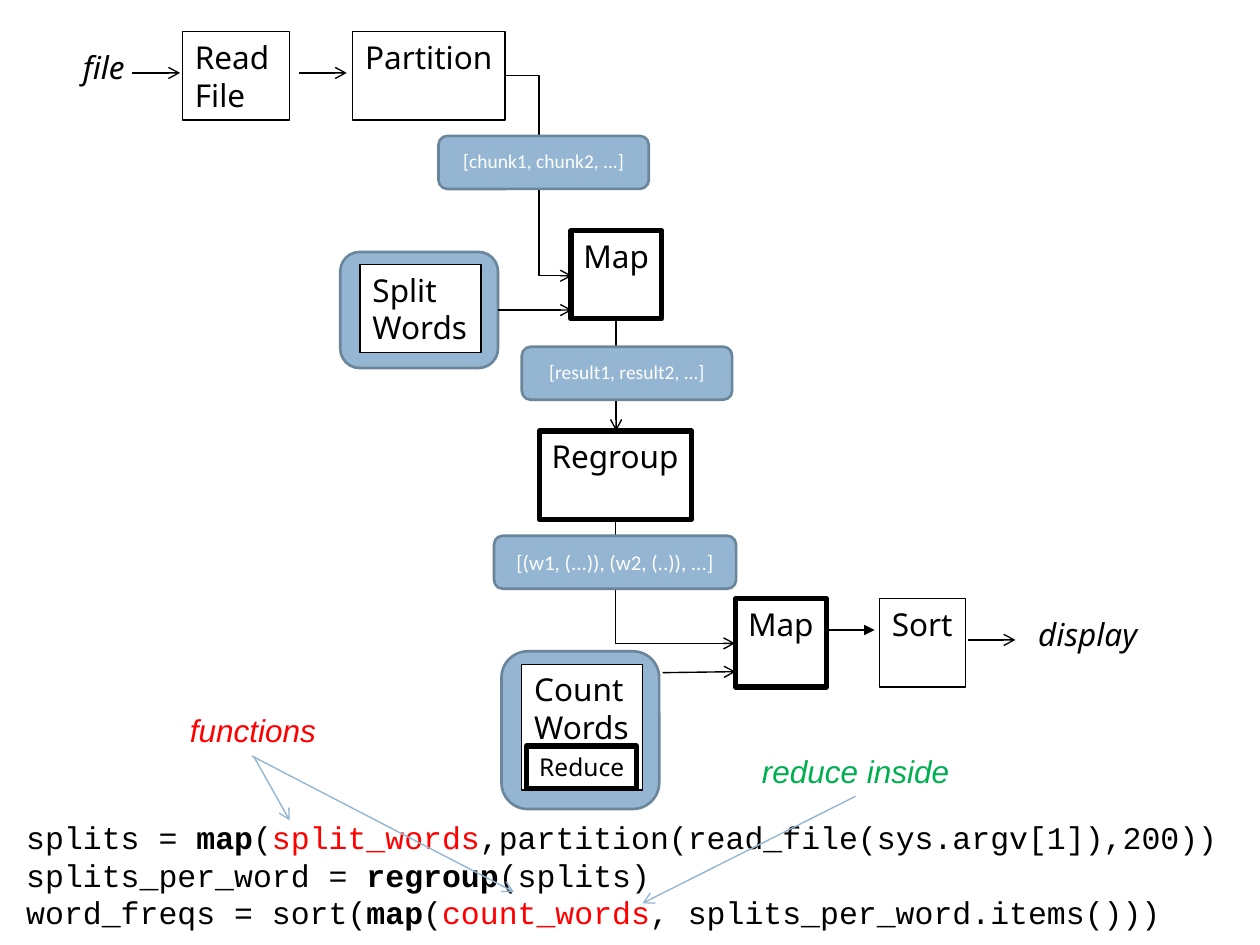
from pptx import Presentation
from pptx.dml.color import RGBColor
from pptx.enum.shapes import MSO_CONNECTOR, MSO_SHAPE
from pptx.enum.text import MSO_ANCHOR, MSO_AUTO_SIZE, PP_ALIGN
from pptx.oxml.ns import qn
from pptx.util import Cm, Pt
from lxml.etree import SubElement

BLACK = RGBColor(0, 0, 0)
WHITE = RGBColor(255, 255, 255)
RED = RGBColor(255, 0, 0)
GREEN = RGBColor(0, 0xB0, 0x50)
BLUE = RGBColor(0x94, 0xB6, 0xD2)
SLATE = RGBColor(0x6B, 0x85, 0x9A)

SANS = "Noto Sans"
MONO = "Courier New"
THIN, THICK = 0.75, 3

CODE = [
    [("splits = ", "plain"), ("map", "bold"), ("(", "plain"), ("split_words", "red"),
     (",partition(read_file(sys.argv[1]),200))", "plain")],
    [("splits_per_word = ", "plain"), ("regroup", "bold"), ("(splits)", "plain")],
    [("word_freqs = sort(", "plain"), ("map", "bold"), ("(", "plain"), ("count_words", "red"),
     (", splits_per_word.items()))", "plain")],
]


def style(run, size, face, color, bold=False, italic=False):
    font = run.font
    font.size = Pt(size)
    font.name = face
    font.color.rgb = color
    font.bold = bold
    font.italic = italic


def write(shape, text, size, face, color, align=PP_ALIGN.LEFT, italic=False):
    frame = shape.text_frame
    frame.text = text
    for para in frame.paragraphs:
        para.alignment = align
        for run in para.runs:
            style(run, size, face, color, italic=italic)
    return frame


def draw(slide, kind, place, fill, line, width):
    shape = slide.shapes.add_shape(kind, *map(Cm, place))
    shape.shadow.inherit = False
    if fill is None:
        shape.fill.background()
    else:
        shape.fill.solid()
        shape.fill.fore_color.rgb = fill
    shape.line.color.rgb = line
    shape.line.width = Pt(width)
    return shape


def add_box(slide, text, place, width=THIN, fill=None, size=18):
    shape = draw(slide, MSO_SHAPE.RECTANGLE, place, fill, BLACK, width)
    frame = write(shape, text, size, SANS, BLACK)
    frame.word_wrap = False
    frame.vertical_anchor = MSO_ANCHOR.TOP


def add_pill(slide, place, text="", size=11.1, space=None):
    shape = draw(slide, MSO_SHAPE.ROUNDED_RECTANGLE, place, BLUE, SLATE, 1.5)
    if text:
        frame = write(shape, text, size, "Calibri", WHITE, PP_ALIGN.CENTER)
        frame.paragraphs[0].line_spacing = space


def add_field(slide, place):
    shape = slide.shapes.add_textbox(*map(Cm, place))
    shape.text_frame.word_wrap = False
    shape.text_frame.auto_size = MSO_AUTO_SIZE.SHAPE_TO_FIT_TEXT
    return shape


def add_label(slide, text, place, face=SANS, color=BLACK):
    write(add_field(slide, place), text, 18, face, color, italic=True)


def add_arrow(slide, start, end, color=BLACK, head="arrow", kind=MSO_CONNECTOR.STRAIGHT):
    line = slide.shapes.add_connector(kind, *map(Cm, start + end))
    line.line.color.rgb = color
    line.line.width = Pt(0.79)
    SubElement(line.get_or_add_ln(), qn("a:tailEnd")).set("type", head)
    SubElement(line._element.spPr, qn("a:effectLst"))
    return line


def add_corner(slide, start, end):
    line = add_arrow(slide, start, end, kind=MSO_CONNECTOR.ELBOW)
    props = line._element.spPr
    props.find(qn("a:prstGeom")).set("prst", "bentConnector2")
    frame = props.find(qn("a:xfrm"))
    frame.set("rot", str(270 * 60000))
    frame.set("flipH", "1")


def add_code(slide, place):
    frame = add_field(slide, place).text_frame
    for index, parts in enumerate(CODE):
        para = frame.add_paragraph() if index else frame.paragraphs[0]
        for text, look in parts:
            run = para.add_run()
            run.text = text
            style(run, 18, MONO, RED if look == "red" else BLACK, look == "bold")


def add_source(slide):
    add_label(slide, "file", (1.42, 0.84, 1.35, 1.02))
    add_arrow(slide, (2.67, 1.47), (3.63, 1.47))
    add_box(slide, "Read\nFile", (3.68, 0.64, 2.16, 1.78))
    add_arrow(slide, (6.02, 1.47), (6.99, 1.47))
    add_box(slide, "Partition", (7.11, 0.64, 3.07, 1.78))


def add_split(slide):
    add_pill(slide, (6.86, 5.08, 3.18, 2.34))
    add_box(slide, "Split\nWords", (7.26, 5.33, 2.44, 1.78), fill=WHITE)
    add_box(slide, "Map", (11.51, 4.65, 1.83, 1.78), THICK)
    add_arrow(slide, (10.21, 1.52), (11.53, 5.56), kind=MSO_CONNECTOR.ELBOW)
    add_arrow(slide, (10.03, 6.25), (11.53, 6.25))
    add_pill(slide, (8.84, 2.74, 4.24, 1.07), "[chunk1, chunk2, ...]", space=0.9)


def add_group(slide):
    add_box(slide, "Regroup", (10.87, 8.69, 3.07, 1.78), THICK)
    add_arrow(slide, (12.42, 6.45), (12.42, 8.69))
    add_pill(slide, (10.52, 6.99, 4.24, 1.07), "[result1, result2, ...]", space=0.9)


def add_count(slide):
    add_pill(slide, (10.11, 13.13, 3.18, 3.18))
    add_box(slide, "Count\nWords", (10.52, 13.39, 2.44, 2.54), fill=WHITE)
    add_box(slide, "Reduce", (10.62, 15.04, 2.21, 0.86), THICK, size=14)
    add_arrow(slide, (13.36, 13.56), (14.83, 13.54))
    add_box(slide, "Map", (14.83, 12.07, 1.83, 1.78), THICK)
    add_corner(slide, (12.37, 10.52), (14.86, 12.93))
    add_pill(slide, (9.96, 10.8, 4.88, 1.07), "[(w1, (...)), (w2, (..)), ...]", 12)


def add_output(slide):
    add_arrow(slide, (16.66, 12.7), (17.63, 12.7), head="triangle")
    add_box(slide, "Sort", (17.73, 12.07, 1.73, 1.78))
    add_arrow(slide, (19.51, 12.9), (20.47, 12.9))
    add_label(slide, "display", (20.68, 12.27, 2.55, 1.02))


def add_notes(slide):
    add_code(slide, (0.28, 16.36, 24.51, 2.54))
    add_label(slide, "functions", (3.58, 14.2, 3.05, 1.02), "Arial", RED)
    add_label(slide, "reduce inside", (15.11, 15.04, 4.35, 1.02), "Arial", GREEN)
    add_arrow(slide, (5.11, 15.24), (5.84, 16.54), BLUE)
    add_arrow(slide, (5.08, 15.24), (10.36, 17.98), BLUE)
    add_arrow(slide, (17.25, 16.05), (12.95, 18.21), BLUE)


def main():
    deck = Presentation()
    deck.slide_width = Cm(25.4)
    deck.slide_height = Cm(19.05)
    slide = deck.slides.add_slide(deck.slide_layouts[6])
    for add_part in (add_source, add_split, add_group, add_count, add_output, add_notes):
        add_part(slide)
    deck.save("out.pptx")


if __name__ == "__main__":
    main()
